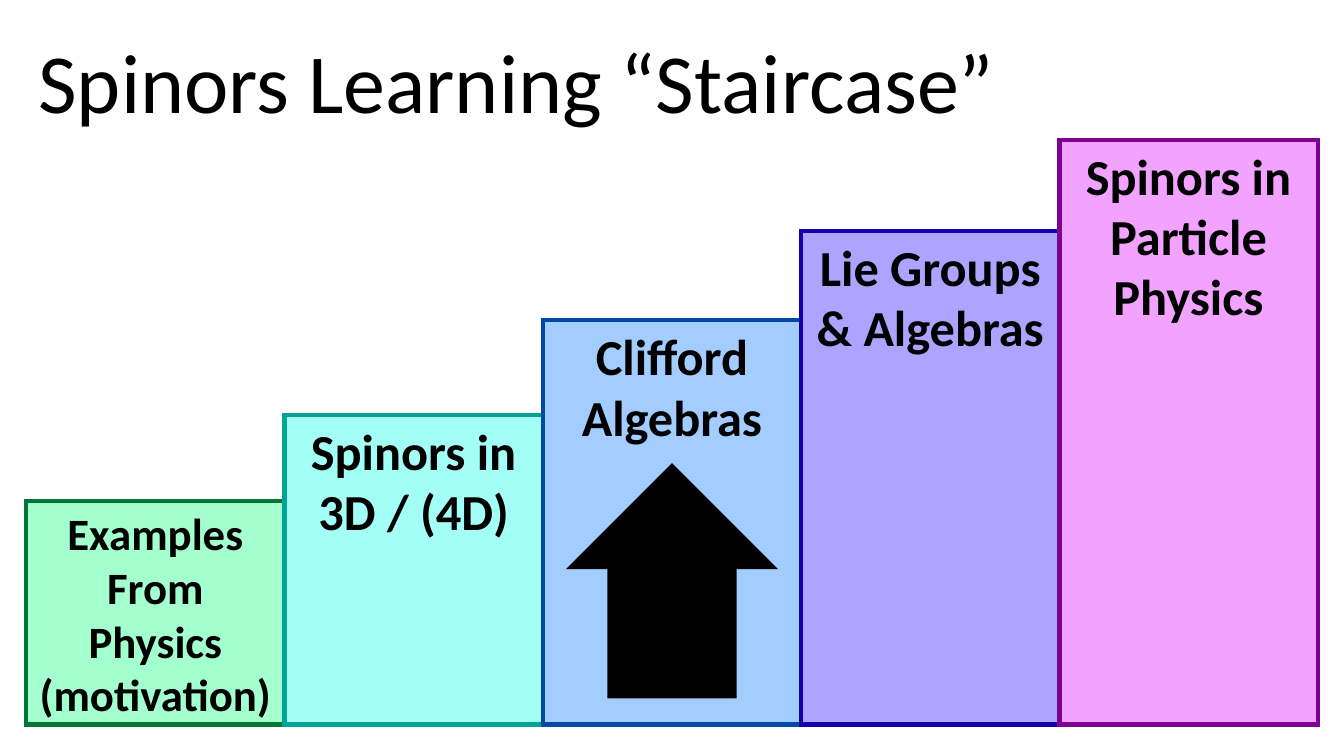
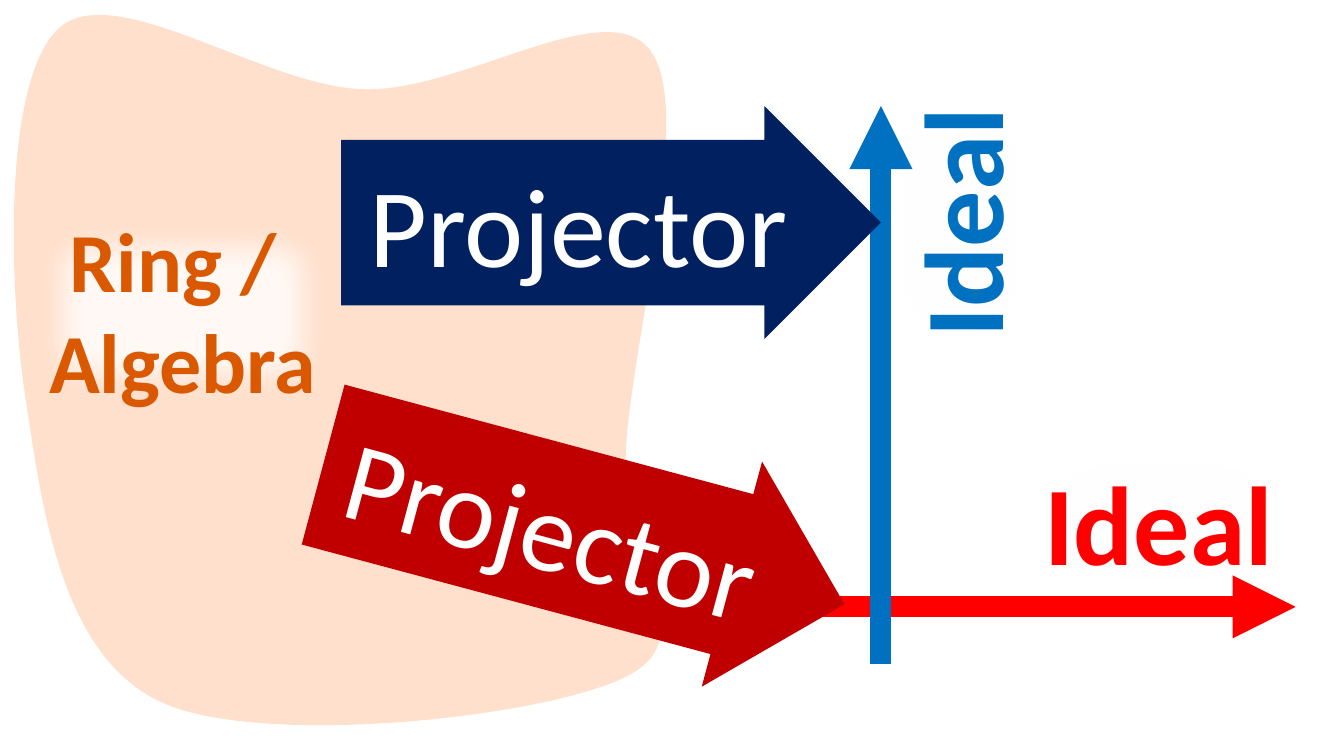
from lxml import etree
from pptx import Presentation
from pptx.dml.color import RGBColor
from pptx.enum.shapes import MSO_CONNECTOR, MSO_SHAPE
from pptx.enum.text import MSO_ANCHOR, MSO_AUTO_SIZE, PP_ALIGN
from pptx.oxml.ns import qn
from pptx.util import Emu, Pt

RECTANGLE, RIGHT_ARROW = MSO_SHAPE.RECTANGLE, MSO_SHAPE.RIGHT_ARROW
LEFT, CENTER, RIGHT = PP_ALIGN.LEFT, PP_ALIGN.CENTER, PP_ALIGN.RIGHT
TOP, MIDDLE = MSO_ANCHOR.TOP, MSO_ANCHOR.MIDDLE

# Shared look: 96 px to the inch
EMU_PER_PX = 9525
SLIDE_SIZE = (1280, 720)
FONT = "Calibri"
BLACK, WHITE, RED, BLUE = "000000", "FFFFFF", "FF0000", "0070C0"
TITLE_LAYOUT, BLANK_LAYOUT = 5, 6

# Staircase slide
TITLE = "Spinors Learning “Staircase”"
TITLE_BOX = (27, 23, 948, 107)
STEPS_LEFT, STEP_WIDTH, STEPS_BOTTOM = 25, 246, 690
STEPS = [  # text, size, top, fill, line
    ("Examples From Physics (motivation)", 32, 477, "A3FFCD", "007635"),
    ("Spinors in 3D / (4D)", 36, 395, "A3FFF6", "00A494"),
    ("Clifford Algebras", 36, 305, "A3CDFF", "004AA4"),
    ("Lie Groups & Algebras", 36, 220, "AEA3FF", "1400A8"),
    ("Spinors in Particle Physics", 36, 133, "F2A3FF", "7D0092"),
]
CURRENT_STEP_ARROW = (528, 452, 224, 202)

# Projector slide
RING_BOX = (13, 14, 622, 677)
RING_START = (599, 643)
RING_CURVES = [  # two control points and an end point each
    ((525, 683), (250, 713), (154, 669)),
    ((58, 625), (40, 484), (24, 377)),
    ((8, 270), (3, 76), (56, 27)),
    ((109, -21), (251, 82), (345, 85)),
    ((439, 89), (579, -9), (620, 49)),
    ((662, 107), (600, 332), (596, 431)),
    ((593, 530), (672, 604), RING_START),
]
RING_COLOR, RING_OPACITY = "FF6600", 20
RING_LABEL = ("Ring / \vAlgebra", (18, 194, 312, 204), "DA5800")
AXES = [  # start, end, colour
    ((776, 578), (1234, 578), RED),
    ((839, 632), (839, 101), BLUE),
]
IDEALS = [  # box, rotation, colour, line
    ((985, 427, 240, 139), 0, RED, None),
    ((794, 141, 240, 139), 270, BLUE, BLUE),
]
PROJECTORS = [  # box, rotation, fill
    ((325, 101, 514, 222), 0, "002060"),
    ((299, 398, 514, 222), 15, "C00000"),
]
ARROW_SHAFT, ARROW_HEAD = 0.71, 0.5
SOFT_EDGE = 33


def px(length):
    return Emu(round(length * EMU_PER_PX))


def color(value):
    return RGBColor.from_string(value)


def paint(shape, fill, opacity=100, line=None, line_width=3):
    shape.shadow.inherit = False
    shape.fill.solid()
    shape.fill.fore_color.rgb = color(fill)
    if opacity < 100:
        solid = shape.fill._xPr.find(qn("a:solidFill"))
        etree.SubElement(solid[0], qn("a:alpha"), val=str(opacity * 1000))
    if line:
        shape.line.color.rgb = color(line)
        shape.line.width = Pt(line_width)
        etree.SubElement(shape.line._get_or_add_ln(), qn("a:miter"), lim="800000")
    else:
        shape.line.fill.background()


def write(shape, text, size, ink=BLACK, bold=False, align=LEFT, anchor=TOP, wrap=True):
    frame = shape.text_frame
    frame.auto_size = MSO_AUTO_SIZE.NONE
    frame.word_wrap = wrap
    frame.vertical_anchor = anchor
    paragraph = frame.paragraphs[0]
    paragraph.text = text
    paragraph.alignment = align
    for run in paragraph.runs:
        run.font.name = FONT
        run.font.size = Pt(size)
        run.font.bold = bold
        run.font.color.rgb = color(ink)


def add_shape(slide, kind, box, fill, rotation=0, **style):
    shape = slide.shapes.add_shape(kind, *map(px, box))
    shape.rotation = rotation
    paint(shape, fill, **style)
    return shape


def add_arrow_shape(slide, box, fill, rotation=0, shaft=ARROW_SHAFT):
    arrow = add_shape(slide, RIGHT_ARROW, box, fill, rotation)
    arrow.adjustments[0] = shaft
    arrow.adjustments[1] = ARROW_HEAD
    return arrow


def add_soft_label(slide, box, opacity, rotation=0, line=None):
    label = add_shape(slide, RECTANGLE, box, WHITE, rotation,
                      opacity=opacity, line=line, line_width=0.75)
    effects = label._element.spPr.find(qn("a:effectLst"))
    etree.SubElement(effects, qn("a:softEdge"), rad=str(px(SOFT_EDGE)))
    return label


def add_axis(slide, start, end, ink):
    axis = slide.shapes.add_connector(MSO_CONNECTOR.STRAIGHT, *map(px, start + end))
    axis.line.color.rgb = color(ink)
    axis.line.width = Pt(15)
    etree.SubElement(axis.line._get_or_add_ln(), qn("a:tailEnd"), type="triangle")
    etree.SubElement(axis._element.spPr, qn("a:effectLst"))


def add_curved_shape(slide, box, start, curves):
    """Freeform through the curve ends, with its sides bent by the control points."""
    builder = slide.shapes.build_freeform(*map(px, start), scale=1.0)
    builder.add_line_segments([tuple(map(px, curve[-1])) for curve in curves], close=True)
    shape = builder.convert_to_shape()
    shape.left, shape.top, shape.width, shape.height = map(px, box)
    outline = next(shape._element.iter(qn("a:path")))
    outline.set("w", str(shape.width))
    outline.set("h", str(shape.height))
    for child in list(outline):
        outline.remove(child)
    for tag, points in [("a:moveTo", [start])] + [("a:cubicBezTo", curve) for curve in curves]:
        segment = etree.SubElement(outline, qn(tag))
        for x, y in points:
            etree.SubElement(segment, qn("a:pt"), x=str(px(x - box[0])), y=str(px(y - box[1])))
    etree.SubElement(outline, qn("a:close"))
    return shape


def build_staircase(presentation):
    slide = presentation.slides.add_slide(presentation.slide_layouts[TITLE_LAYOUT])
    # Steps
    for index, (text, size, top, fill, line) in enumerate(STEPS):
        box = (STEPS_LEFT + index * STEP_WIDTH, top, STEP_WIDTH, STEPS_BOTTOM - top)
        step = add_shape(slide, RECTANGLE, box, fill, line=line)
        write(step, text, size, bold=True, align=CENTER)
    # Title
    title = slide.shapes.title
    title.left, title.top, title.width, title.height = map(px, TITLE_BOX)
    write(title, TITLE, 60)
    # Marker of the current step
    add_arrow_shape(slide, CURRENT_STEP_ARROW, BLACK, rotation=270, shaft=0.61)


def build_projectors(presentation):
    slide = presentation.slides.add_slide(presentation.slide_layouts[BLANK_LAYOUT])
    # Ring outline
    ring = add_curved_shape(slide, RING_BOX, RING_START, RING_CURVES)
    paint(ring, RING_COLOR, opacity=RING_OPACITY)
    # Ideals
    for start, end, ink in AXES:
        add_axis(slide, start, end, ink)
    for box, rotation, ink, line in IDEALS:
        label = add_soft_label(slide, box, 86, rotation, line)
        write(label, "Ideal", 80, ink, bold=True, wrap=False)
    # Projectors
    for box, rotation, fill in PROJECTORS:
        arrow = add_arrow_shape(slide, box, fill, rotation)
        write(arrow, "Projector", 80, WHITE, align=RIGHT, anchor=MIDDLE)
    # Ring label
    text, box, ink = RING_LABEL
    write(add_soft_label(slide, box, 80), text, 60, ink, bold=True, align=CENTER)


def main():
    presentation = Presentation()
    presentation.slide_width, presentation.slide_height = map(px, SLIDE_SIZE)
    build_staircase(presentation)
    build_projectors(presentation)
    presentation.save("out.pptx")


if __name__ == "__main__":
    main()
